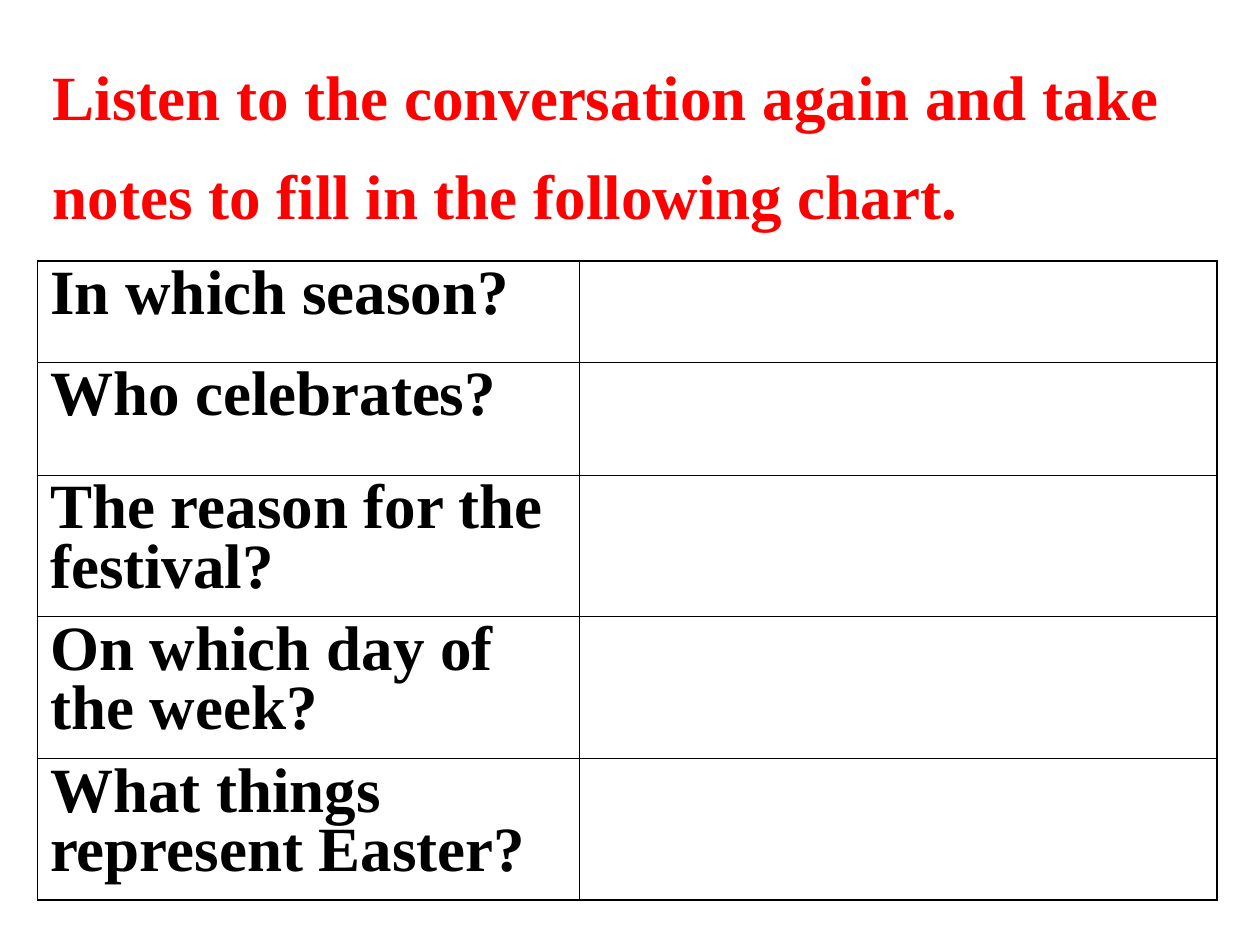
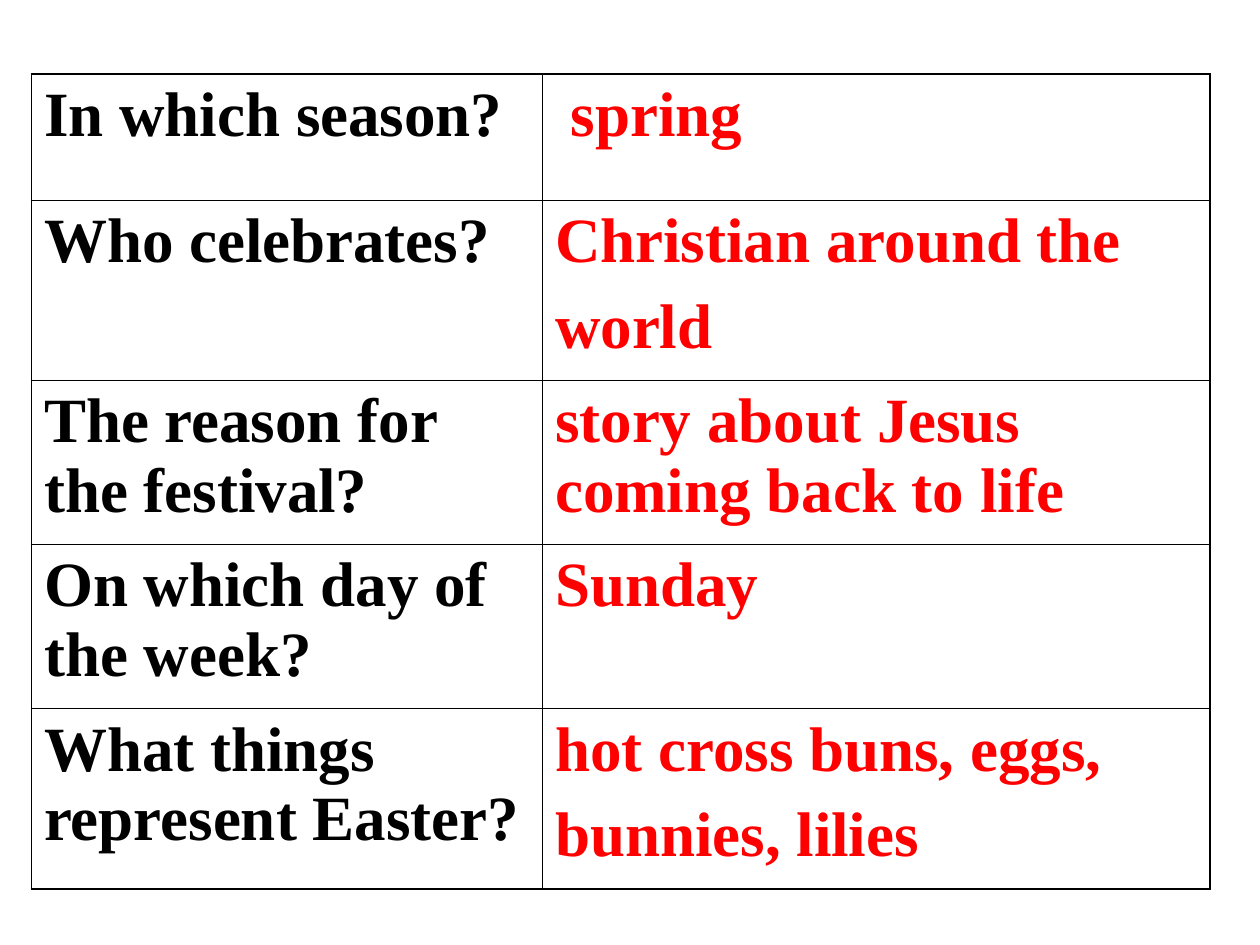
from lxml.etree import SubElement
from pptx import Presentation
from pptx.dml.color import RGBColor
from pptx.enum.text import MSO_ANCHOR, MSO_AUTO_SIZE, PP_ALIGN
from pptx.oxml import parse_xml
from pptx.oxml.ns import nsdecls, qn
from pptx.util import Pt

BLACK = RGBColor(0x00, 0x00, 0x00)
RED = RGBColor(0xFF, 0x00, 0x00)
FONT = "Times New Roman"
FONT_SIZE = Pt(36)
OUTER_LINE = Pt(1.08)
INNER_LINE = Pt(0.45)
TITLE_ONLY, BLANK = 5, 6

QUESTIONS = [
    "In which season?",
    "Who celebrates?",
    "The reason for the festival?",
    "On which day of the week?",
    "What things represent Easter?",
]
ANSWERS = [
    " spring",
    "Christian around the\nworld",
    "story about Jesus coming back to life",
    "Sunday",
    "hot cross buns, eggs,\nbunnies, lilies",
]


class Deck:
    def __init__(self):
        self.presentation = Presentation()
        self.presentation.slide_width = Pt(720)
        self.presentation.slide_height = Pt(540)
        self.slide = None

    def add_slide(self, layout_index):
        layout = self.presentation.slide_layouts[layout_index]
        self.slide = self.presentation.slides.add_slide(layout)

    def fill_text(self, text_frame, text, color, line_spacing, space_before=0):
        """Fill the frame, with space before every paragraph but the first."""
        text_frame.text = text
        for index, paragraph in enumerate(text_frame.paragraphs):
            paragraph.alignment = PP_ALIGN.LEFT
            paragraph.line_spacing = line_spacing
            paragraph.space_before = Pt(space_before if index else 0)
            paragraph.font.name = FONT
            paragraph.font.size = FONT_SIZE
            paragraph.font.bold = True
            paragraph.font.color.rgb = color

    def title(self, text, left, top, width, height):
        title = self.slide.shapes.title
        title.left, title.top = Pt(left), Pt(top)
        title.width, title.height = Pt(width), Pt(height)
        text_frame = title.text_frame
        text_frame.auto_size = MSO_AUTO_SIZE.NONE
        text_frame.word_wrap = False
        text_frame.vertical_anchor = MSO_ANCHOR.TOP
        self.fill_text(text_frame, text, RED, line_spacing=1.3)

    def border(self, cell, outer_sides):
        """Draw thick lines on the outer sides and thin ones elsewhere."""
        properties = cell._tc.get_or_add_tcPr()
        for index, side in enumerate("LRTB"):
            width = OUTER_LINE if side in outer_sides else INNER_LINE
            line = parse_xml(f'<a:ln{side} {nsdecls("a")} w="{int(width)}"/>')
            fill = SubElement(line, qn("a:solidFill"))
            SubElement(fill, qn("a:srgbClr"), val=str(BLACK))
            properties.insert(index, line)

    def question_table(self, left, top, column_widths, row_heights,
                       answers, line_spacing):
        rows, columns = len(row_heights), len(column_widths)
        table = self.slide.shapes.add_table(
            rows, columns, Pt(left), Pt(top),
            Pt(sum(column_widths)), Pt(sum(row_heights))).table
        table.first_row = False
        table.horz_banding = False
        for column, width in zip(table.columns, column_widths):
            column.width = Pt(width)
        for row, height in zip(table.rows, row_heights):
            row.height = Pt(height)

        for row, texts in enumerate(zip(QUESTIONS, answers)):
            for column, (text, color) in enumerate(zip(texts, (BLACK, RED))):
                cell = table.cell(row, column)
                cell.fill.background()
                edges = {"L": column == 0, "R": column == columns - 1,
                         "T": row == 0, "B": row == rows - 1}
                self.border(cell, [side for side in edges if edges[side]])
                if text:
                    self.fill_text(cell.text_frame, text, color,
                                   line_spacing, space_before=9)


def main():
    deck = Deck()

    deck.add_slide(TITLE_ONLY)
    deck.title("Listen to the conversation again and take\n"
               "notes to fill in the following chart.", 23, 16.5, 655, 119.5)
    deck.question_table(21.5, 149.2, [309.5, 364.5],
                        [57.6, 64.8, 80.9, 80.9, 80.9],
                        answers=[""] * len(QUESTIONS), line_spacing=0.85)

    deck.add_slide(BLANK)
    deck.question_table(18, 42.4, [292, 381.5], [72, 103, 93.8, 93.8, 103],
                        answers=ANSWERS, line_spacing=1.0)

    deck.presentation.save("out.pptx")


if __name__ == "__main__":
    main()
